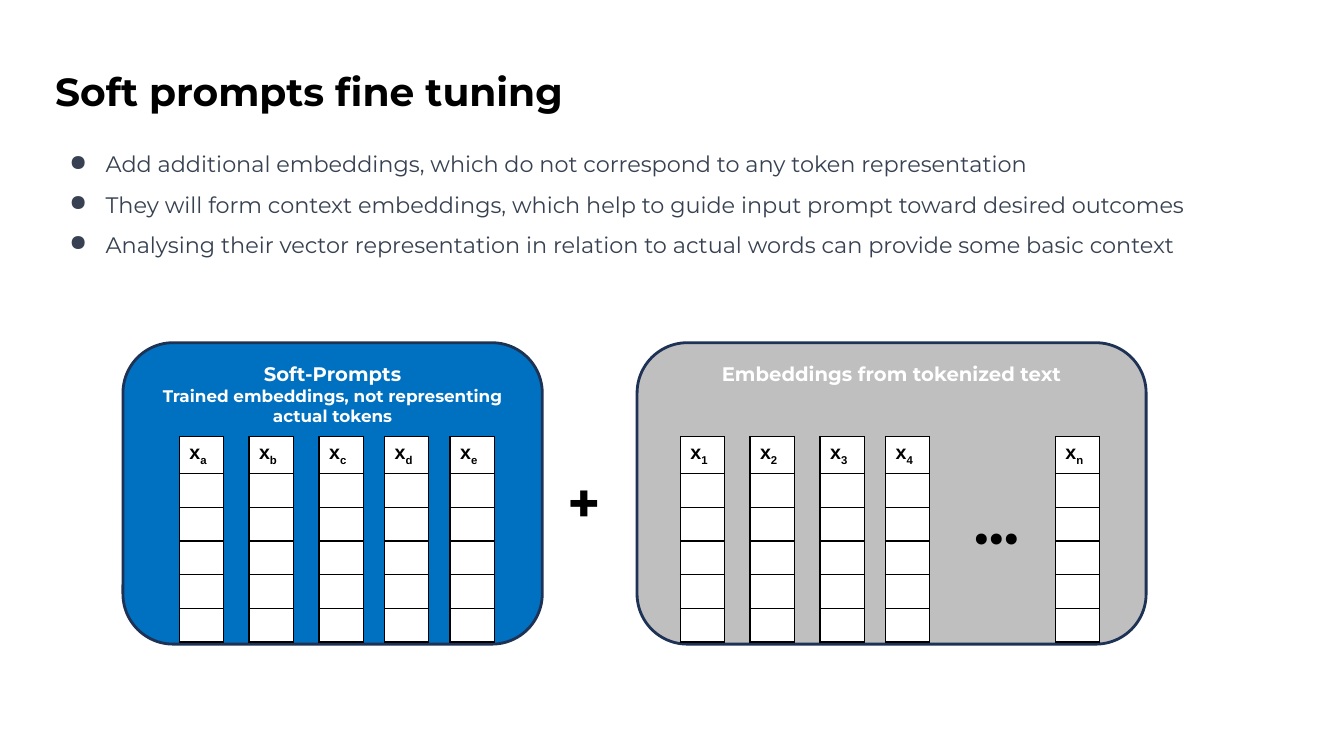
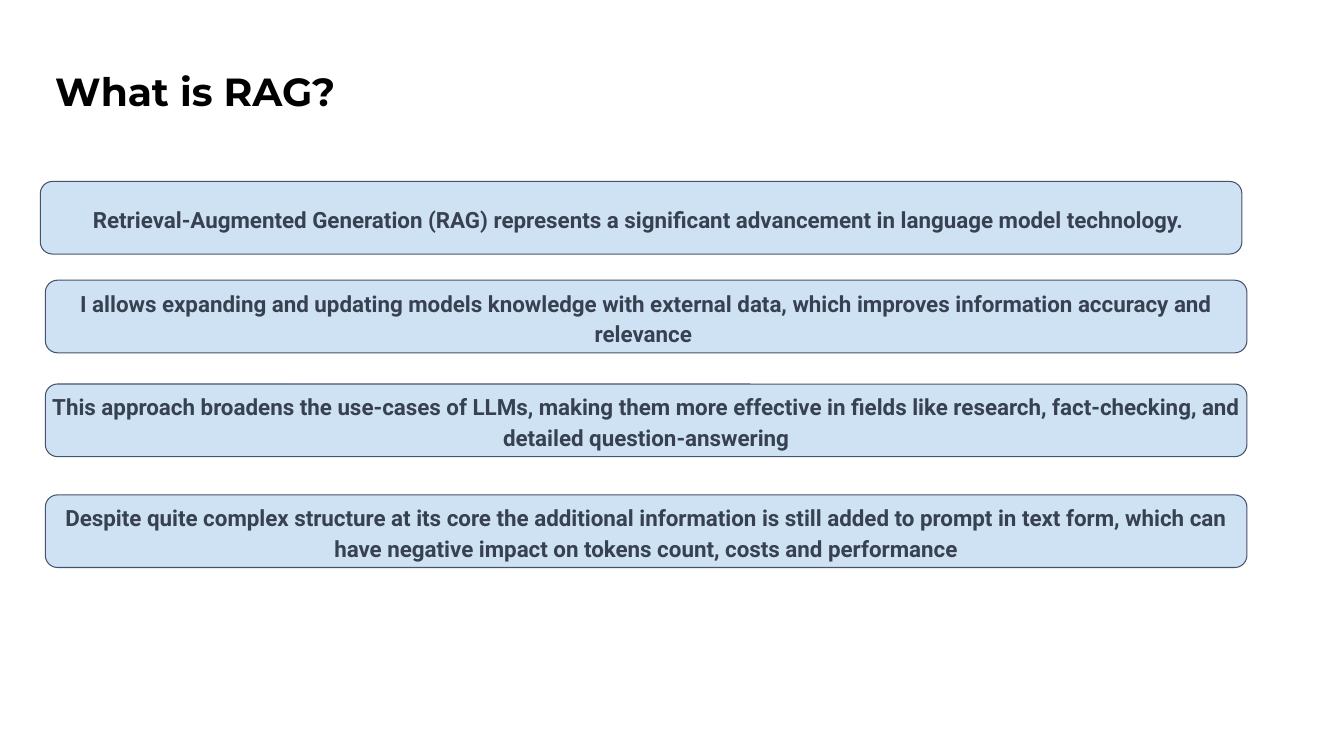
from lxml.etree import SubElement
from pptx import Presentation
from pptx.dml.color import RGBColor
from pptx.enum.shapes import MSO_SHAPE as Shape
from pptx.enum.text import MSO_ANCHOR as Anchor, PP_ALIGN as Align
from pptx.oxml.ns import qn
from pptx.util import Inches, Pt

COLORS = {
    "black": "000000",
    "white": "FFFFFF",
    "body": "374151",
    "soft": "0070C0",
    "tokens": "BFBFBF",
    "panel_edge": "1E3256",
    "bar": "CFE2F3",
    "bar_edge": "44546A",
}
GRID = Inches(0.1)  # side of one grid cell: a column or a row
SLIDE_COLS, SLIDE_ROWS = 133.33, 75

PANEL_TOP, PANEL_ROWS = 34, 29.9
VECTOR_TOP, VECTOR_COLS = 43.3, 4.4
HEAD_ROWS, VALUE_ROWS, VALUE_COUNT = 3.7, 3.34, 5
VECTOR_OFFSETS = (0, 6.9, 13.85, 20.35, 26.85)
LAST_VECTOR_OFFSET = 37.2
BAR_COLS, BAR_ROWS = 119.2, 7.2

BULLETS = (
    "Add additional embeddings, which do not correspond to any token representation",
    "They will form context embeddings, which help to guide input prompt toward desired outcomes",
    "Analysing their vector representation in relation to actual words can provide some basic context",
)
RAG_POINTS = (
    (4, 18, "Retrieval-Augmented Generation (RAG) represents a significant advancement "
            "in language model technology. "),
    (4.5, 27.8, "I allows expanding and updating models knowledge with external data, "
                "which improves information accuracy and relevance "),
    (4.5, 38.1, "This approach broadens the use-cases of LLMs, making them more effective "
                "in fields like research, fact-checking, and detailed question-answering"),
    (4.5, 49.1, "Despite quite complex structure at its core the additional information is "
                "still added to prompt in text form, which can have negative impact on "
                "tokens count, costs and performance"),
)


def cells(*counts):
    """Lengths of the given numbers of grid cells."""
    return [round(count * GRID) for count in counts]


def rgb(name):
    return RGBColor.from_string(COLORS[name])


def style(font, size, color, bold=False, face="Montserrat"):
    font.name, font.size, font.bold = face, Pt(size), bold
    font.color.rgb = rgb(color)


def add_text(slide, box, text, size):
    frame = slide.shapes.add_textbox(*cells(*box)).text_frame
    frame.word_wrap = True
    frame.text = text
    style(frame.paragraphs[0].font, size, "black", bold=True)


def add_titled_slide(deck, title):
    slide = deck.slides.add_slide(deck.slide_layouts[6])
    add_text(slide, (4.5, 6.2, 124.4, 5.7), title, 28)
    return slide


def add_bullets(slide, box, items):
    frame = slide.shapes.add_textbox(*cells(*box)).text_frame
    frame.word_wrap = True
    frame.margin_top = frame.margin_bottom = Inches(0.1)
    frame.text = "\n".join(items)
    for paragraph in frame.paragraphs:
        props = paragraph._p.get_or_add_pPr()
        props.set("marL", str(Inches(0.5)))
        props.set("indent", str(Inches(-0.36)))
        bullet_color = SubElement(props, qn("a:buClr"))
        SubElement(bullet_color, qn("a:srgbClr"), val=COLORS["body"])
        SubElement(props, qn("a:buChar"), char="●")
        paragraph.line_spacing = 1.5
        style(paragraph.font, 16, "body")
    frame.paragraphs[0].space_before = Pt(15)


def add_rounded(slide, box, fill, edge, weight):
    rounded = slide.shapes.add_shape(Shape.ROUNDED_RECTANGLE, *cells(*box))
    rounded.shadow.inherit = False
    rounded.fill.solid()
    rounded.fill.fore_color.rgb = rgb(fill)
    rounded.line.color.rgb = rgb(edge)
    rounded.line.width = Pt(weight)
    frame = rounded.text_frame
    frame.word_wrap = True
    frame.paragraphs[0].alignment = Align.CENTER
    return frame


def add_panel(slide, left, width, fill, heading, detail=None):
    frame = add_rounded(slide, (left, PANEL_TOP, width, PANEL_ROWS), fill, "panel_edge", 2)
    frame.vertical_anchor = Anchor.TOP
    paragraph = frame.paragraphs[0]
    run = paragraph.add_run()
    run.text = heading
    style(run.font, 14, "white", bold=True)
    if detail:
        paragraph.add_line_break()
        run = paragraph.add_run()
        run.text = detail
        style(run.font, 12, "white", bold=True)


def add_borders(cell):
    props = cell._tc.get_or_add_tcPr()
    for side in ("lnL", "lnR", "lnT", "lnB"):
        border = SubElement(props, qn(f"a:{side}"), w=str(Pt(1)))
        fill = SubElement(border, qn("a:solidFill"))
        SubElement(fill, qn("a:srgbClr"), val=COLORS["black"])


def add_vector(slide, left, index):
    """An embedding as a one-column table headed by x with a subscript."""
    row_heights = [HEAD_ROWS] + [VALUE_ROWS] * VALUE_COUNT
    table = slide.shapes.add_table(
        len(row_heights), 1, *cells(left, VECTOR_TOP, VECTOR_COLS, sum(row_heights))
    ).table
    table.first_row = table.horz_banding = False
    for row, height in zip(table.rows, cells(*row_heights)):
        row.height = height
        cell = row.cells[0]
        cell.margin_top = cell.margin_bottom = 0
        add_borders(cell)
        cell.fill.solid()
        cell.fill.fore_color.rgb = rgb("white")
    head = table.cell(0, 0)
    head.margin_top = head.margin_bottom = Inches(0.05)
    paragraph = head.text_frame.paragraphs[0]
    for text in ("x", index):
        run = paragraph.add_run()
        run.text = text
        style(run.font, 14, "black", bold=True, face="Arial")
    run._r.get_or_add_rPr().set("baseline", "-25000")


def add_vectors(slide, left, indices, offsets):
    for index, offset in zip(indices, offsets):
        add_vector(slide, left + offset, index)


def add_bar(slide, left, top, text):
    frame = add_rounded(slide, (left, top, BAR_COLS, BAR_ROWS), "bar", "bar_edge", 0.75)
    frame.margin_left = frame.margin_right = frame.margin_top = frame.margin_bottom = 0
    frame.vertical_anchor = Anchor.MIDDLE
    paragraph = frame.paragraphs[0]
    paragraph.add_run().text = text
    paragraph.line_spacing = 1.15
    paragraph.space_before = Pt(15)
    style(paragraph.font, 16, "body", bold=True, face="Roboto")


def add_soft_prompts(deck):
    slide = add_titled_slide(deck, "Soft prompts fine tuning")
    add_bullets(slide, (4.5, 12.6, 127.8, 12.8), BULLETS)
    add_panel(slide, 63.2, 50.5, "tokens", "Embeddings from tokenized text")
    add_panel(slide, 12.2, 41.6, "soft", "Soft-Prompts",
              "Trained embeddings, not representing actual tokens")
    add_vectors(slide, 17.8, "abcde", VECTOR_OFFSETS)
    add_vectors(slide, 67.5, "1234n", VECTOR_OFFSETS[:4] + (LAST_VECTOR_OFFSET,))
    add_text(slide, (55.3, 45.9, 5.6, 7.7), "+", 40)
    add_text(slide, (95.7, 48, 5.6, 7.7), "…", 40)


def add_rag(deck):
    slide = add_titled_slide(deck, "What is RAG?")
    for left, top, text in RAG_POINTS:
        add_bar(slide, left, top, text)


def main():
    deck = Presentation()
    deck.slide_width, deck.slide_height = cells(SLIDE_COLS, SLIDE_ROWS)
    add_soft_prompts(deck)
    add_rag(deck)
    deck.save("out.pptx")


if __name__ == "__main__":
    main()
